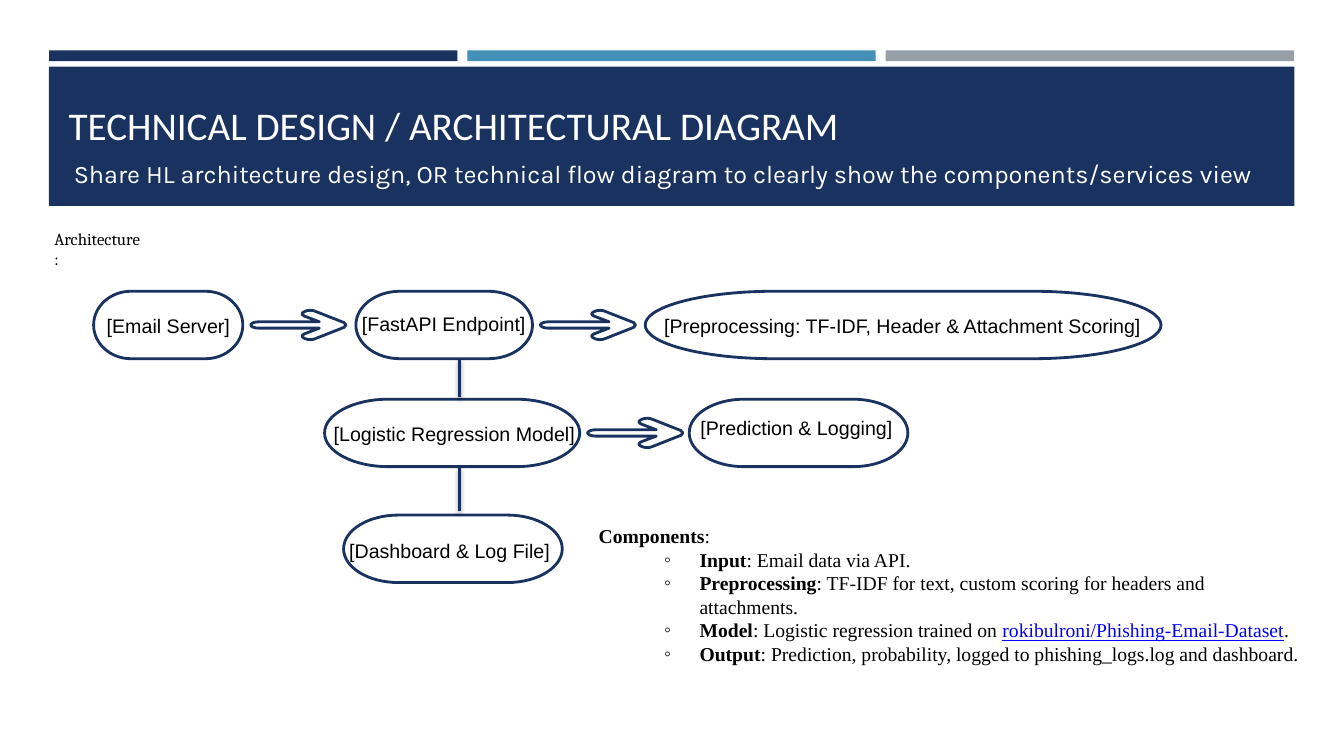
from dataclasses import dataclass

from lxml.etree import SubElement
from pptx import Presentation
from pptx.dml.color import RGBColor
from pptx.enum.shapes import MSO_CONNECTOR, MSO_SHAPE
from pptx.enum.text import MSO_ANCHOR
from pptx.oxml.ns import qn
from pptx.util import Cm, Pt


@dataclass(frozen=True)
class Theme:
    navy: str = "1A3260"
    blue: str = "4590B8"
    grey: str = "969FA7"
    white: str = "FFFFFF"
    black: str = "000000"
    link: str = "0000FF"
    head: int = 28
    sub: int = 18
    body: int = 14
    small: int = 12
    stroke: int = 2


THEME = Theme()
HIGH = 1.7
GAP = 0.2
BEND = 0.45
SPINE = 11.58
ROWS = (7.34, 10.06, 12.98)
LINKS = ((9.04, 10.01), (11.79, 12.88))
NODES = (
    ("[Email Server]", 2.36, 0, 3.76, True, 2.69, 7.9, 3.2),
    ("[FastAPI Endpoint]", 8.97, 0, 4.45, True, 9.12, 7.87, 4.25),
    ("[Preprocessing: TF-IDF, Header & Attachment Scoring]",
     16.26, 0, 13, False, 16.74, 7.91, 12.2),
    ("[Logistic Regression Model]", 8.18, 1, 6.43, True, 8.41, 10.63, 6.3),
    ("[Prediction & Logging]", 17.37, 1, 5.51, False, 17.65, 10.49, 5.69),
    ("[Dashboard & Log File]", 8.66, 2, 5.51, False, 8.8, 13.57, 5.3),
)
KINDS = "CLCCCLLC"
EDGE = (
    (2.4, 0), (2.4, -0.03), (2.38, -0.05), (2.35, -0.06), (1.64, -0.34),
    (1.6, -0.36), (1.55, -0.37), (1.5, -0.37), (1.45, -0.37), (1.4, -0.36),
    (1.36, -0.34), (1.27, -0.3), (1.27, -0.26), (1.36, -0.22), (1.73, -0.08),
    (0.2, -0.08), (0.09, -0.08), (0, -0.04), (0, 0),
)
PARTS = (
    ("Input", ": Email data via API."),
    ("Preprocessing", ": TF-IDF for text, custom scoring for headers and attachments."),
    ("Model", ": Logistic regression trained on ", "rokibulroni/Phishing-Email-Dataset", "."),
    ("Output", ": Prediction, probability, logged to phishing_logs.log and dashboard."),
)


def tint(name):
    return RGBColor.from_string(name)


def apply(item, values):
    for key, value in values.items():
        setattr(item, key, value)


def paint(shape, fill, line=None):
    shape.shadow.inherit = False
    shape.fill.solid()
    shape.fill.fore_color.rgb = tint(fill)
    if line:
        shape.line.color.rgb = tint(line)
        shape.line.width = Pt(THEME.stroke)
    else:
        shape.line.fill.background()


def add_run(para, text, face, size, color, **extra):
    run = para.add_run()
    run.text = text
    apply(run.font, {"name": face, "size": Pt(size), **extra})
    run.font.color.rgb = tint(color)


def add_box(slide, left, top, width, height, inset=0, **extra):
    box = slide.shapes.add_textbox(Cm(left), Cm(top), Cm(width), Cm(height))
    sides = ("margin_left", "margin_top", "margin_right", "margin_bottom")
    apply(box.text_frame, {side: Cm(inset) for side in sides}
          | {"word_wrap": True} | extra)
    return box.text_frame


def add_bar(slide, left, top, width, height, color):
    bar = slide.shapes.add_shape(
        MSO_SHAPE.RECTANGLE, Cm(left), Cm(top), Cm(width), Cm(height))
    paint(bar, color)


def add_form(slide, kinds, points):
    spots = [(Cm(x), Cm(y)) for x, y in points]
    form = slide.shapes.build_freeform(*spots[0])
    form.add_line_segments(spots[1:], close=True)
    shape = form.convert_to_shape()
    paint(shape, THEME.white, THEME.navy)
    steps = iter(list(shape._element.iter(qn("a:lnTo"))))
    for kind in kinds:
        step = next(steps)
        if kind == "C":
            step.tag = qn("a:cubicBezTo")
            for more in (next(steps), next(steps)):
                step.append(more[0])
                more.getparent().remove(more)


def add_node(slide, left, top, width):
    mid, half = top + HIGH / 2, HIGH / 2
    points = []
    for side in (-1, 1):
        end = left + width * (1 + side) / 2
        hub = end - side * width / 4
        bend = end - side * width / 4 * BEND
        rise = half * (1 - BEND)
        points += [(hub, mid + side * half), (bend, mid + side * half),
                   (end, mid + side * rise), (end, mid),
                   (end, mid - side * rise), (bend, mid - side * half),
                   (hub, mid - side * half)]
    add_form(slide, "CCLCCL", points + points[:1])


def add_arrow(slide, left, mid):
    lower = [(x, -y) for x, y in reversed(EDGE[:-1])]
    points = [(left + x, mid + y) for x, y in list(EDGE) + lower]
    add_form(slide, KINDS + KINDS[::-1], points)


def add_link(slide, top, end):
    link = slide.shapes.add_connector(
        MSO_CONNECTOR.STRAIGHT, Cm(SPINE), Cm(end), Cm(SPINE), Cm(top))
    link.line.color.rgb = tint(THEME.navy)
    link.line.width = Pt(THEME.stroke)
    group = SubElement(link._element.spPr, qn("a:effectLst"))
    shade = SubElement(group, qn("a:outerShdw"), blurRad=str(Pt(3)),
                       dist=str(Pt(1.6)), dir="5400000", rotWithShape="0")
    color = SubElement(shade, qn("a:srgbClr"), val=THEME.black)
    SubElement(color, qn("a:alpha"), val="38000")


def add_head(slide):
    for spot, color in enumerate((THEME.navy, THEME.blue, THEME.grey)):
        add_bar(slide, 1.24 + 10.54 * spot, 1.27, 10.29, 0.27, color)
    add_bar(slide, 1.23, 1.68, 31.39, 3.51, THEME.navy)
    title = add_box(slide, 1.6, 2.03, 30.63, 1.83, 0.13,
                    vertical_anchor=MSO_ANCHOR.BOTTOM)
    add_run(title.paragraphs[0], "TECHNICAL DESIGN / ARCHITECTURAL DIAGRAM",
            "Calibri", THEME.head, THEME.white)
    sub = add_box(slide, 1.73, 3.86, 30.1, 1.04, 0.13)
    add_run(sub.paragraphs[0],
            "Share HL architecture design, OR technical flow diagram "
            "to clearly show the components/services view",
            "Karla", THEME.sub, THEME.white)


def add_parts(slide):
    face = "Times New Roman"
    frame = add_box(slide, 15.09, 13.21, 17.78, 4.37)
    for spot, texts in enumerate((("Components", ":"),) + PARTS):
        para = frame.add_paragraph() if spot else frame.paragraphs[0]
        if spot:
            para.level = 1
            props = para._p.get_or_add_pPr()
            props.set("marL", str(Cm(2.54)))
            props.set("indent", str(Cm(-0.89)))
            SubElement(props, qn("a:buFont"), typeface=face)
            SubElement(props, qn("a:buChar"), char="◦")
        for order, text in enumerate(texts):
            linked = order == 2
            add_run(para, text, face, THEME.body,
                    THEME.link if linked else THEME.black,
                    bold=order == 0, underline=linked)


def main():
    deck = Presentation()
    apply(deck, {"slide_width": Cm(33.87), "slide_height": Cm(19.05)})
    slide = deck.slides.add_slide(deck.slide_layouts[6])
    add_head(slide)
    label = add_box(slide, 1.37, 5.77, 2.22, 1.42)
    add_run(label.paragraphs[0], "Architecture:", "Cambria", THEME.small, THEME.black)
    add_parts(slide)
    for text, left, row, width, leads, start, top, span in NODES:
        add_node(slide, left, ROWS[row], width)
        if leads:
            add_arrow(slide, left + width + GAP, ROWS[row] + HIGH / 2)
        name = add_box(slide, start, top, span, 0.56)
        add_run(name.paragraphs[0], text, "Arial", THEME.body, THEME.black)
    for top, end in LINKS:
        add_link(slide, top, end)
    deck.save("out.pptx")


if __name__ == "__main__":
    main()
